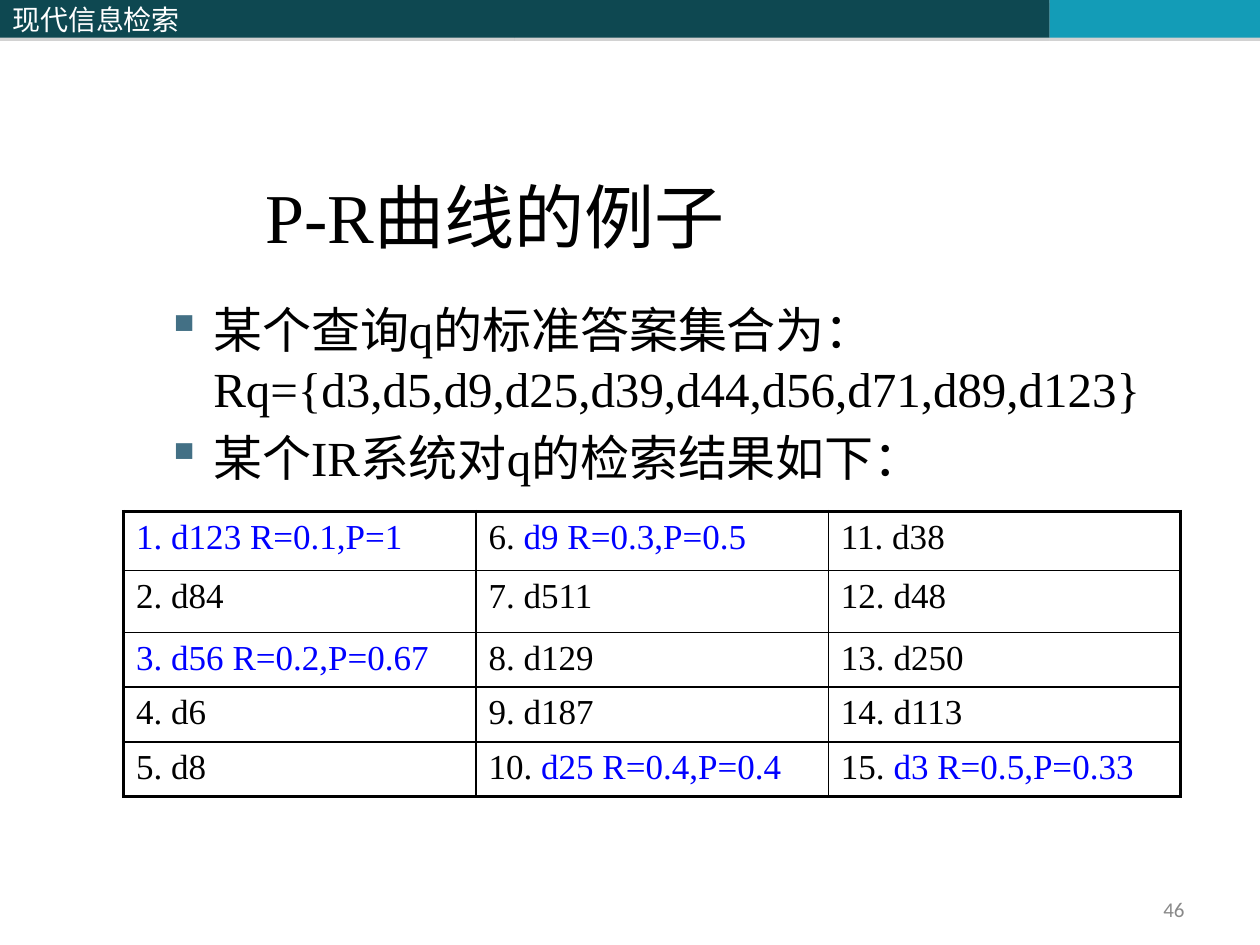
"""Build the slide with the P-R curve example and its ranked result table."""
from lxml import etree
from pptx import Presentation
from pptx.dml.color import RGBColor
from pptx.enum.shapes import MSO_SHAPE
from pptx.enum.text import MSO_ANCHOR, PP_ALIGN
from pptx.oxml import parse_xml
from pptx.util import Pt

RECTANGLE = MSO_SHAPE.RECTANGLE
MIDDLE, BOTTOM = MSO_ANCHOR.MIDDLE, MSO_ANCHOR.BOTTOM
LEFT, RIGHT = PP_ALIGN.LEFT, PP_ALIGN.RIGHT
BLACK = RGBColor(0x00, 0x00, 0x00)
WHITE = RGBColor(0xFF, 0xFF, 0xFF)
BLUE = RGBColor(0x00, 0x00, 0xFF)
GREY = RGBColor(0x89, 0x89, 0x89)
DARK_TEAL = RGBColor(0x0E, 0x48, 0x51)
CYAN = RGBColor(0x13, 0x9C, 0xB7)
BULLET_COLOR = RGBColor(0x43, 0x70, 0x85)
SERIF = "Times New Roman"
NS = "http://schemas.openxmlformats.org/drawingml/2006/main"


def set_font(font, name, size, color):
    font.name, font.size, font.color.rgb = name, Pt(size), color


def add_border(cell, side, width):
    cell._tc.get_or_add_tcPr().append(parse_xml(
        f'<a:{side} xmlns:a="{NS}" w="{Pt(width)}"><a:solidFill>'
        f'<a:srgbClr val="{BLACK}"/></a:solidFill></a:{side}>'))


deck = Presentation()
deck.slide_width, deck.slide_height = Pt(720), Pt(540)
page = deck.slides.add_slide(deck.slide_layouts[5])

header = [(0, 293.8, DARK_TEAL, "现代信息检索"), (293.8, 306, DARK_TEAL, ""),
          (599.8, 120.2, CYAN, "")]
for left, width, color, text in header:
    bar = page.shapes.add_shape(RECTANGLE, Pt(left), 0, Pt(width), Pt(21.6))
    bar.fill.solid()
    bar.fill.fore_color.rgb = color
    bar.line.fill.background()
    bar.shadow.inherit = False
    effects = bar._element.spPr.find(f"{{{NS}}}effectLst")
    shadow = etree.SubElement(effects, f"{{{NS}}}outerShdw", dist=str(Pt(1.8)),
                              dir="5400000", rotWithShape="0")
    tint = etree.SubElement(shadow, f"{{{NS}}}srgbClr", val="808080")
    etree.SubElement(tint, f"{{{NS}}}alpha", val="35000")
    if text:
        bar.text_frame.vertical_anchor = MIDDLE
        para = bar.text_frame.paragraphs[0]
        para.text, para.alignment = text, LEFT
        set_font(para.font, "Noto Sans CJK SC", 16, WHITE)

title = page.shapes.title
title.left, title.top, title.width, title.height = Pt(144.7), Pt(60.5), Pt(542), Pt(90)
title.text_frame.text = "P-R曲线的例子"
title.text_frame.vertical_anchor = BOTTOM
para = title.text_frame.paragraphs[0]
para.alignment = LEFT
set_font(para.font, SERIF, 40, BLACK)

points = ["某个查询q的标准答案集合为：Rq={d3,d5,d9,d25,d39,d44,d56,d71,d89,d123}",
          "某个IR系统对q的检索结果如下："]
body = page.shapes.add_textbox(Pt(87.8), Pt(167.8), Pt(584), Pt(118.8)).text_frame
body.word_wrap = True
body.text = "\n".join(points)
for para in body.paragraphs:
    para.space_before = Pt(5.6)
    set_font(para.font, SERIF, 28, BLACK)
    props = para._p.get_or_add_pPr()
    props.set("marL", str(Pt(27)))
    props.set("indent", str(Pt(-27)))
    bullet_color = parse_xml(f'<a:buClr xmlns:a="{NS}"><a:srgbClr val="{BULLET_COLOR}"/></a:buClr>')
    bullet = parse_xml(f'<a:buChar xmlns:a="{NS}" char="▪"/>')
    props.find(f"{{{NS}}}spcBef").addnext(bullet_color)
    bullet_color.addnext(bullet)

documents = ["d123", "d84", "d56", "d6", "d8", "d9", "d511", "d129", "d187",
             "d25", "d38", "d48", "d250", "d113", "d3"]
scores = {1: "R=0.1,P=1", 3: "R=0.2,P=0.67", 6: "R=0.3,P=0.5",
          10: "R=0.4,P=0.4", 15: "R=0.5,P=0.33"}
row_heights = [33.8, 35.3, 30.2, 28.1, 31]
rows, columns = len(row_heights), 3
results = page.shapes.add_table(rows, columns, Pt(70.6), Pt(292.3), Pt(604.2),
                                Pt(sum(row_heights))).table
results.first_row = results.horz_banding = False
for row, height in zip(results.rows, row_heights):
    row.height = Pt(height)
for index, document in enumerate(documents):
    rank = index + 1
    column, row = divmod(index, rows)
    cell = results.cell(row, column)
    para = cell.text_frame.paragraphs[0]
    relevant = rank in scores
    entry = f"{document} {scores[rank]}" if relevant else document
    entry_color = BLUE if relevant else BLACK
    number_color = entry_color if column == 0 else BLACK
    if number_color == entry_color:
        pieces = [(f"{rank}. {entry}", entry_color)]
    else:
        pieces = [(f"{rank}. ", number_color), (entry, entry_color)]
    for text, color in pieces:
        span = para.add_run()
        span.text = text
        set_font(span.font, SERIF, 20, color)
    edges = {"lnL": column == 0, "lnR": column == columns - 1,
             "lnT": row == 0, "lnB": row == rows - 1}
    for side, outer in edges.items():
        add_border(cell, side, 2.25 if outer else 1)
    cell.fill.background()

number = page.shapes.add_textbox(Pt(516.2), Pt(509.8), Pt(167.8), Pt(19.4)).text_frame
number.word_wrap = True
number.vertical_anchor = MIDDLE
para = number.paragraphs[0]
para.text, para.alignment = "46", RIGHT
set_font(para.font, "Calibri", 12, GREY)

deck.save("out.pptx")
